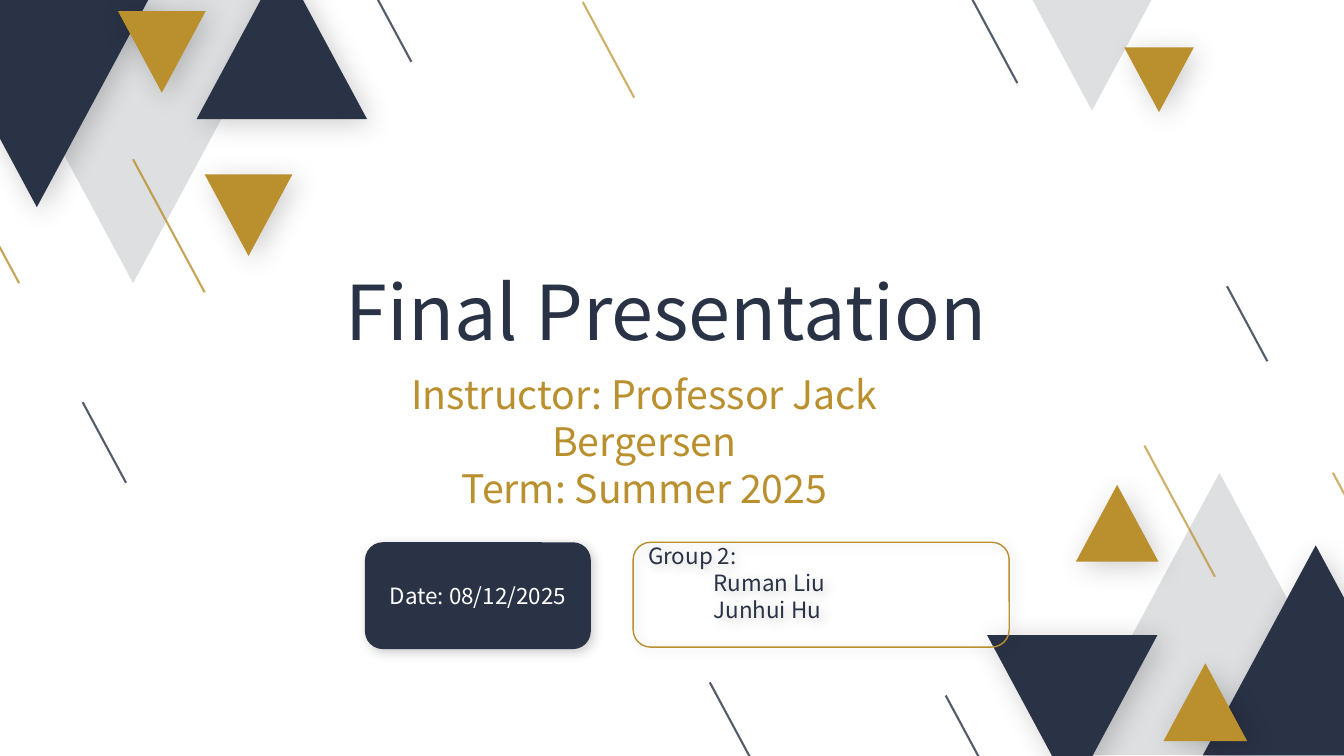
from lxml.etree import SubElement
from pptx import Presentation
from pptx.dml.color import RGBColor
from pptx.enum.shapes import MSO_CONNECTOR, MSO_SHAPE
from pptx.enum.text import MSO_ANCHOR, MSO_AUTO_SIZE, PP_ALIGN
from pptx.oxml.ns import qn
from pptx.util import Inches, Pt

# Content
TITLE = ["Final Presentation"]
SUBTITLE = ["Instructor: Professor Jack Bergersen", "Term: Summer 2025"]
DATE = ["Date: 08/12/2025"]
GROUP = ["Group 2:", "Ruman Liu", "Junhui Hu"]

FONT = "Noto Sans CJK SC"
COLORS = {"navy": "2A3246", "gold": "BA8F2D", "gray": "DDDFE0",
          "white": "FFFFFF", "black": "000000"}

# Grid: square cells of a tenth of an inch
COLUMNS, ROWS = 133.3, 75
TRIANGLE_RATIO = 0.93  # height to width
SLOPE = 1.86           # fall to run of the slanted lines
LEADING = 1.2          # line height to text size

# Triangles: left, top, width, points down, color
TRIANGLES = [
    (102.4, 0, 11.8, True, "gray"),
    (105.9, 46.9, 30.1, False, "gray"),
    (-1.9, 0, 30.2, True, "gray"),
    (-7.4, 0, 22.1, True, "navy"),
    (119.3, 54.1, 22.4, False, "navy"),
    (19.5, -3.9, 16.9, False, "navy"),
    (106.7, 48.1, 8.2, False, "gold"),
    (115.4, 65.8, 8.3, False, "gold"),
    (11.7, 1.1, 8.7, True, "gold"),
    (20.3, 17.3, 8.7, True, "gold"),
    (111.5, 4.7, 6.9, True, "gold"),
    (97.9, 63, 16.9, True, "navy"),
]

# Slanted lines: left, top, run, color, opacity in percent
SLANTS = [
    (57.8, 0.2, 5.1, "gold", 70),
    (96.2, -0.5, 4.7, "navy", 80),
    (33.9, -6.7, 6.9, "navy", 80),
    (13.2, 15.8, 7.1, "gold", 80),
    (113.5, 44.2, 7, "gold", 70),
    (121.7, 28.4, 4, "navy", 80),
    (132.2, 46.9, 5.5, "gold", 70),
    (93.8, 69, 5.5, "navy", 80),
    (70.4, 67.7, 5.5, "navy", 80),
    (8.2, 39.9, 4.3, "navy", 80),
    (-3.1, 18.8, 5, "gold", 80),
]


def cells(*counts):
    return [Inches(count / 10) for count in counts]


def rgb(name):
    return RGBColor.from_string(COLORS[name])


def add_shadow(shape, blur, distance):
    effects = SubElement(shape._element.spPr, qn("a:effectLst"))
    shadow = SubElement(effects, qn("a:outerShdw"), blurRad=str(Pt(blur)),
                        dist=str(Pt(distance)), dir=str(45 * 60000),
                        algn="tl", rotWithShape="0")
    color = SubElement(shadow, qn("a:srgbClr"), val=COLORS["black"])
    SubElement(color, qn("a:alpha"), val="20000")


def add_triangle(slide, left, top, width, points_down, color):
    shape = slide.shapes.add_shape(
        MSO_SHAPE.ISOSCELES_TRIANGLE,
        *cells(left, top, width, width * TRIANGLE_RATIO))
    shape.rotation = 180 if points_down else 0
    shape.fill.solid()
    shape.fill.fore_color.rgb = rgb(color)
    shape.line.fill.background()
    if color == "gray":
        shape.shadow.inherit = False
    else:
        add_shadow(shape, 20, 5)


def add_slant(slide, left, top, run, color, opacity):
    line = slide.shapes.add_connector(
        MSO_CONNECTOR.STRAIGHT,
        *cells(left, top, left + run, top + run * SLOPE))
    line.line.width = Pt(1.5)
    line.line.color.rgb = rgb(color)
    tint = line._element.spPr.find(".//" + qn("a:srgbClr"))
    SubElement(tint, qn("a:alpha"), val=str(opacity * 1000))
    SubElement(line._element.spPr, qn("a:effectLst"))


def write(shape, lines, size, color, align, anchor, top_margin=0.05):
    frame = shape.text_frame
    frame.word_wrap = True
    frame.auto_size = MSO_AUTO_SIZE.NONE
    frame.vertical_anchor = anchor
    frame.margin_top = Inches(top_margin)
    for index, line in enumerate(lines):
        para = frame.paragraphs[0] if index == 0 else frame.add_paragraph()
        para.alignment = align
        para.space_before = Pt(0)
        para.line_spacing = Pt(size * LEADING)
        span = para.add_run()
        span.text = line
        span.font.name = FONT
        span.font.size = Pt(size)
        span.font.color.rgb = rgb(color)
    return frame


def place(shape, *area):
    shape.left, shape.top, shape.width, shape.height = cells(*area)


def add_box(slide, area, fill=None, outline=None):
    box = slide.shapes.add_shape(MSO_SHAPE.ROUNDED_RECTANGLE, *cells(*area))
    if fill:
        box.fill.solid()
        box.fill.fore_color.rgb = rgb(fill)
    else:
        box.fill.background()
    if outline:
        box.line.color.rgb = rgb(outline)
        box.line.width = Pt(1)
    else:
        box.line.fill.background()
    add_shadow(box, 8, 3)
    return box


def main():
    deck = Presentation()
    deck.slide_width, deck.slide_height = cells(COLUMNS, ROWS)
    page = deck.slides.add_slide(deck.slide_layouts[0])
    page.background.fill.solid()
    page.background.fill.fore_color.rgb = rgb("white")

    # Decoration
    for triangle in TRIANGLES:
        add_triangle(page, *triangle)
    for slant in SLANTS:
        add_slant(page, *slant)

    # Title and subtitle
    title, subtitle = page.shapes.title, page.placeholders[1]
    place(title, 25.4, 25.3, 81.3, 10.1)
    write(title, TITLE, 54, "navy", PP_ALIGN.CENTER, MSO_ANCHOR.TOP, 0.1)
    place(subtitle, 31.7, 35.9, 64.4, 15.1)
    write(subtitle, SUBTITLE, 28, "gold", PP_ALIGN.CENTER, MSO_ANCHOR.TOP, 0.08)

    # Date and group boxes
    date_box = add_box(page, (36.2, 53.8, 22.4, 10.6), fill="navy")
    write(date_box, DATE, 16, "white", PP_ALIGN.CENTER, MSO_ANCHOR.MIDDLE)
    group_box = add_box(page, (62.8, 53.8, 37.3, 10.4), outline="gold")
    frame = write(group_box, GROUP, 16, "navy", PP_ALIGN.LEFT, MSO_ANCHOR.TOP, -0.05)
    for member in frame.paragraphs[1:]:
        member._p.get_or_add_pPr().set("marL", str(Inches(0.65)))

    deck.save("out.pptx")


if __name__ == "__main__":
    main()
